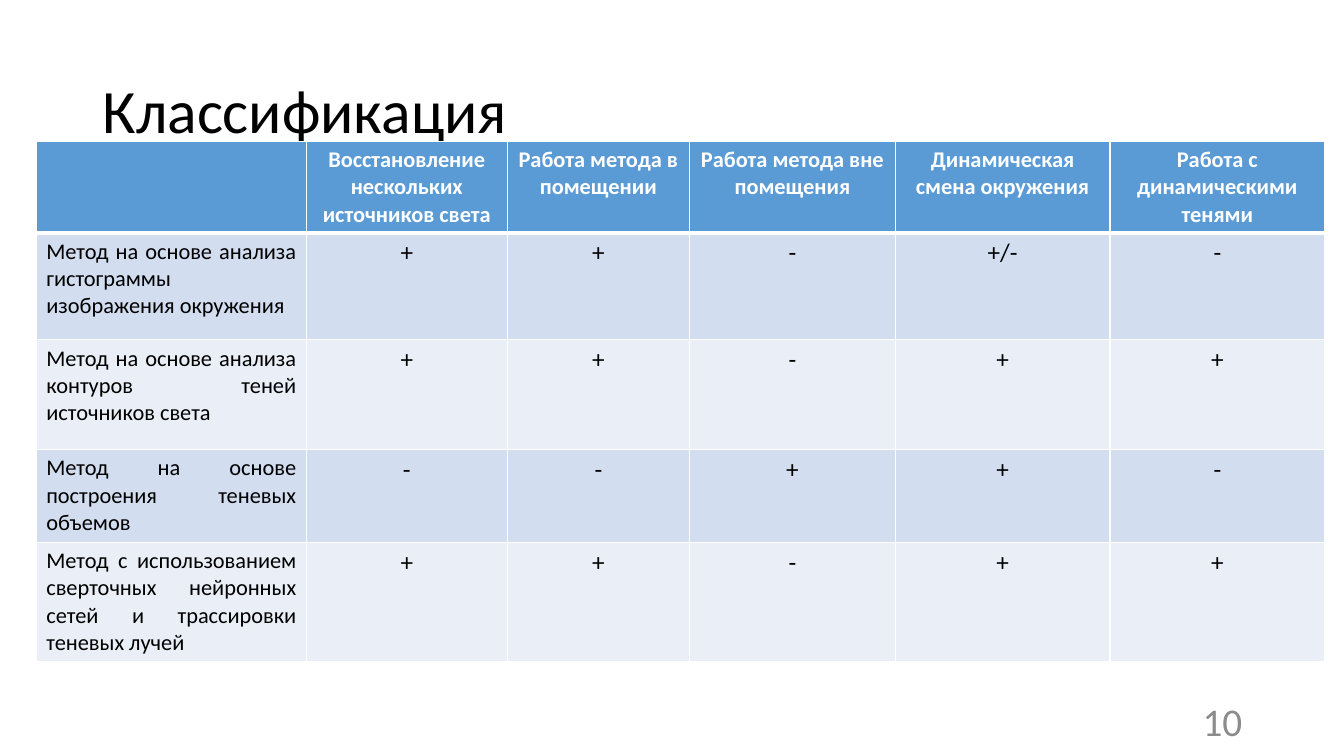
from pptx import Presentation
from pptx.dml.color import RGBColor
from pptx.enum.text import MSO_ANCHOR as Anchor, PP_ALIGN as Align
from pptx.oxml import parse_xml
from pptx.oxml.ns import nsdecls
from pptx.util import Inches, Pt

TITLE = "Классификация"
PAGE_NUMBER = "10"
CRITERIA = [
    "",
    "Восстановление нескольких источников света",
    "Работа метода в помещении",
    "Работа метода вне помещения",
    "Динамическая смена окружения",
    "Работа с динамическими тенями",
]
METHODS = [
    ("Метод на основе анализа гистограммы изображения окружения", "+", "+", "-", "+/-", "-"),
    ("Метод на основе анализа контуров теней источников света", "+", "+", "-", "+", "+"),
    ("Метод на основе построения теневых объемов", "-", "-", "+", "+", "-"),
    ("Метод с использованием сверточных нейронных сетей и трассировки теневых лучей",
     "+", "+", "-", "+", "+"),
]
COLUMN_WIDTHS = [2.68, 1.99, 1.81, 2.04, 2.13, 2.13]
ROW_HEIGHTS = [0.91, 1.06, 1.09, 0.92, 1.18]
HEADER_FILL = "5B9BD5"
BAND_FILLS = ["D2DEEF", "EAEFF7"]
FONT = "Calibri"
WHITE, BLACK, GRAY = "FFFFFF", "000000", "8C8C8C"


def color(value):
    """Turn a hex string into a colour."""
    return RGBColor.from_string(value)


def write(frame, text, size, ink, align, bold=False):
    """Fill a text frame with one formatted paragraph."""
    frame.text = text
    para = frame.paragraphs[0]
    para.alignment = align
    for span in para.runs:
        span.font.name = FONT
        span.font.size = Pt(size)
        span.font.bold = bold
        span.font.color.rgb = color(ink)
    return para


def add_borders(cell, top, bottom):
    """Draw white borders around a cell, widths in points."""
    properties = cell._tc.get_or_add_tcPr()
    for side, width in (("L", 1), ("R", 1), ("T", top), ("B", bottom)):
        properties.append(parse_xml(
            f'<a:ln{side} {nsdecls("a")} w="{Pt(width)}"><a:solidFill>'
            f'<a:srgbClr val="{WHITE}"/></a:solidFill></a:ln{side}>'))


def add_comparison(page):
    """Add the table that compares the methods."""
    rows = [CRITERIA, *METHODS]
    table = page.shapes.add_table(
        len(rows), len(CRITERIA), Inches(0.36), Inches(1.4),
        Inches(sum(COLUMN_WIDTHS)), Inches(sum(ROW_HEIGHTS))).table
    for column, width in zip(table.columns, COLUMN_WIDTHS):
        column.width = Inches(width)
    for row, height in zip(table.rows, ROW_HEIGHTS):
        row.height = Inches(height)
    for r, texts in enumerate(rows):
        header = r == 0
        for c, text in enumerate(texts):
            cell = table.cell(r, c)
            add_borders(cell, 3 if r == 1 else 1, 3 if header else 1)
            cell.fill.solid()
            cell.fill.fore_color.rgb = color(HEADER_FILL if header else BAND_FILLS[(r - 1) % 2])
            write(cell.text_frame, text, 16 if header or c == 0 else 18,
                  WHITE if header else BLACK,
                  Align.JUSTIFY if c == 0 else Align.CENTER, header)


deck = Presentation()
deck.slide_width, deck.slide_height = Inches(13.33), Inches(7.5)
page = deck.slides.add_slide(deck.slide_layouts[5])

title = page.shapes.title
title.left, title.top, title.width, title.height = map(Inches, (0.92, 0.4, 11.5, 1.45))
title.text_frame.vertical_anchor = Anchor.MIDDLE
write(title.text_frame, TITLE, 44, BLACK, Align.LEFT).line_spacing = 0.9

number = page.shapes.add_textbox(*map(Inches, (9.42, 6.95, 3, 0.4))).text_frame
number.word_wrap = True
number.vertical_anchor = Anchor.MIDDLE
write(number, PAGE_NUMBER, 28, GRAY, Align.RIGHT)

add_comparison(page)
deck.save("out.pptx")
